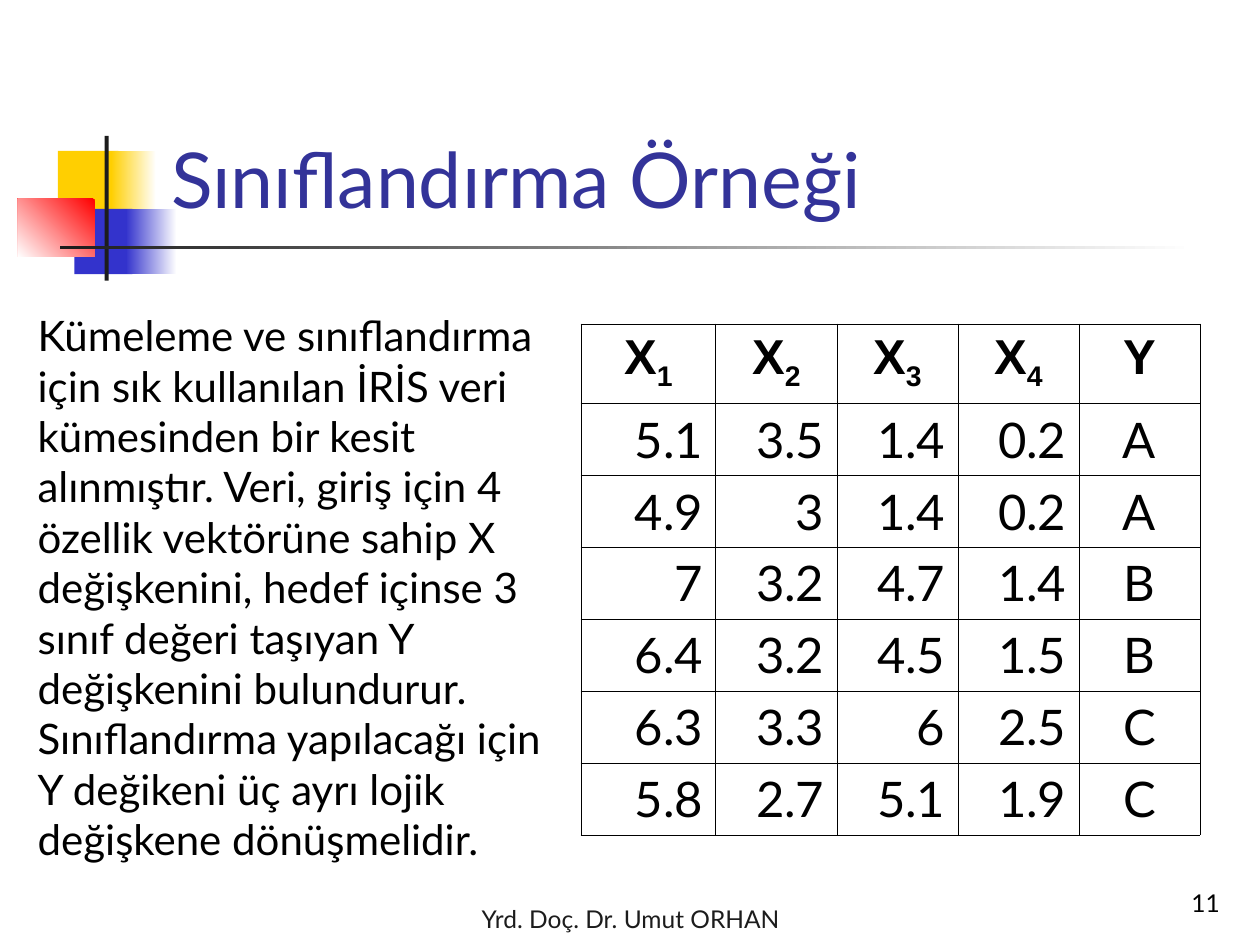
from lxml.etree import SubElement
from pptx import Presentation
from pptx.dml.color import RGBColor
from pptx.enum.shapes import MSO_SHAPE
from pptx.enum.text import MSO_ANCHOR, PP_ALIGN
from pptx.oxml.ns import qn
from pptx.util import Cm, Pt

YELLOW = RGBColor(0xFF, 0xCF, 0x01)
BLUE = RGBColor(0x33, 0x33, 0xCC)
RED = RGBColor(0xFF, 0x00, 0x00)
DARK = RGBColor(0x1C, 0x1C, 0x1C)
TITLE = RGBColor(0x33, 0x33, 0x99)
BLACK = RGBColor(0x00, 0x00, 0x00)
WHITE = RGBColor(0xFF, 0xFF, 0xFF)

BODY = (
    "Kümeleme ve sınıflandırma için sık kullanılan İRİS veri kümesinden bir "
    "kesit alınmıştır. Veri, giriş için 4 özellik vektörüne sahip X "
    "değişkenini, hedef içinse 3 sınıf değeri taşıyan Y değişkenini "
    "bulundurur. Sınıflandırma yapılacağı için Y değikeni üç ayrı lojik "
    "değişkene dönüşmelidir."
)
HEADERS = [("X", "1"), ("X", "2"), ("X", "3"), ("X", "4"), ("Y", "")]
IRIS = [
    ("5.1", "3.5", "1.4", "0.2", "A"),
    ("4.9", "3", "1.4", "0.2", "A"),
    ("7", "3.2", "4.7", "1.4", "B"),
    ("6.4", "3.2", "4.5", "1.5", "B"),
    ("6.3", "3.3", "6", "2.5", "C"),
    ("5.8", "2.7", "5.1", "1.9", "C"),
]


def format_run(r, size, color, name="Lato", bold=False):
    r.font.size = Pt(size)
    r.font.name = name
    r.font.bold = bold
    r.font.color.rgb = color


def add_text(s, box, text, size, color, align=PP_ALIGN.LEFT, anchor=MSO_ANCHOR.BOTTOM):
    tf = s.shapes.add_textbox(*map(Cm, box)).text_frame
    tf.word_wrap = True
    tf.vertical_anchor = anchor
    p = tf.paragraphs[0]
    p.text = text
    p.alignment = align
    format_run(p.runs[0], size, color)


def add_block(s, box, start, end=None, angle=180):
    sp = s.shapes.add_shape(MSO_SHAPE.RECTANGLE, *map(Cm, box))
    sp.shadow.inherit = False
    sp.line.fill.background()
    if end is None:
        sp.fill.solid()
        sp.fill.fore_color.rgb = start
        return
    sp.fill.gradient()
    sp.fill.gradient_angle = angle
    for stop, position, color in zip(sp.fill.gradient_stops, (0, 1), (start, end)):
        stop.position = position
        stop.color.rgb = color


def add_motif(s, x, y):
    add_block(s, (x + 0.81, y + 0.3, 1.22, 1.32), YELLOW)
    add_block(s, (x + 1.88, y + 0.3, 0.91, 1.32), WHITE, YELLOW)
    add_block(s, (x + 1.14, y + 1.47, 1.17, 1.32), BLUE)
    add_block(s, (x + 2.18, y + 1.47, 1.02, 1.32), WHITE, BLUE)
    add_block(s, (x, y + 1.27, 1.55, 1.17), RED, WHITE, 225)
    add_block(s, (x + 1.75, y, 0.08, 2.92), DARK)
    add_block(s, (x + 0.86, y + 2.21, 22.86, 0.08), WHITE, DARK)


def style_cell(cell):
    tcPr = cell._tc.get_or_add_tcPr()
    for side in ("a:lnL", "a:lnR", "a:lnT", "a:lnB"):
        ln = SubElement(tcPr, qn(side), w=str(Pt(0.45)))
        fill = SubElement(ln, qn("a:solidFill"))
        SubElement(fill, qn("a:srgbClr"), val=str(BLACK))
    cell.fill.background()


def add_iris_table(s, x, y, widths, heights):
    box = (x, y, sum(widths), sum(heights))
    table = s.shapes.add_table(len(heights), len(widths), *map(Cm, box)).table
    table.first_row = False
    table.horz_banding = False
    for column, width in zip(table.columns, widths):
        column.width = Cm(width)
    for row, height in zip(table.rows, heights):
        row.height = Cm(height)
    for cell in table.iter_cells():
        style_cell(cell)

    for cell, (symbol, index) in zip(table.rows[0].cells, HEADERS):
        p = cell.text_frame.paragraphs[0]
        p.text = symbol
        p.alignment = PP_ALIGN.CENTER
        if index:
            r = p.add_run()
            r.text = index
            r._r.get_or_add_rPr().set("baseline", "-25000")
        for r in p.runs:
            format_run(r, 28, BLACK, "Arial", True)

    for i, values in enumerate(IRIS, 1):
        for j, value in enumerate(values):
            p = table.cell(i, j).text_frame.paragraphs[0]
            p.text = value
            p.alignment = PP_ALIGN.CENTER if value.isalpha() else PP_ALIGN.RIGHT
            format_run(p.runs[0], 28, BLACK)


def main():
    prs = Presentation()
    prs.slide_width, prs.slide_height = Cm(25.4), Cm(19.05)
    s = prs.slides.add_slide(prs.slide_layouts[6])
    add_motif(s, 0.36, 2.74)
    add_text(s, (0.51, 18.08, 24.41, 0.86), "Yrd. Doç. Dr. Umut ORHAN", 14, DARK, PP_ALIGN.CENTER)
    add_text(s, (3.2, 0.58, 21.64, 4.06), "Sınıflandırma Örneği", 44, TITLE)
    add_iris_table(s, 11.71, 6.53, [2.72] + [2.44] * 4, [1.6] + [1.45] * len(IRIS))
    add_text(s, (0.51, 6.12, 11, 12.45), BODY, 24, BLACK, anchor=MSO_ANCHOR.TOP)
    add_text(s, (19.56, 17.35, 5.28, 1.27), "11", 14, BLACK, PP_ALIGN.RIGHT)
    prs.save("out.pptx")


if __name__ == "__main__":
    main()
